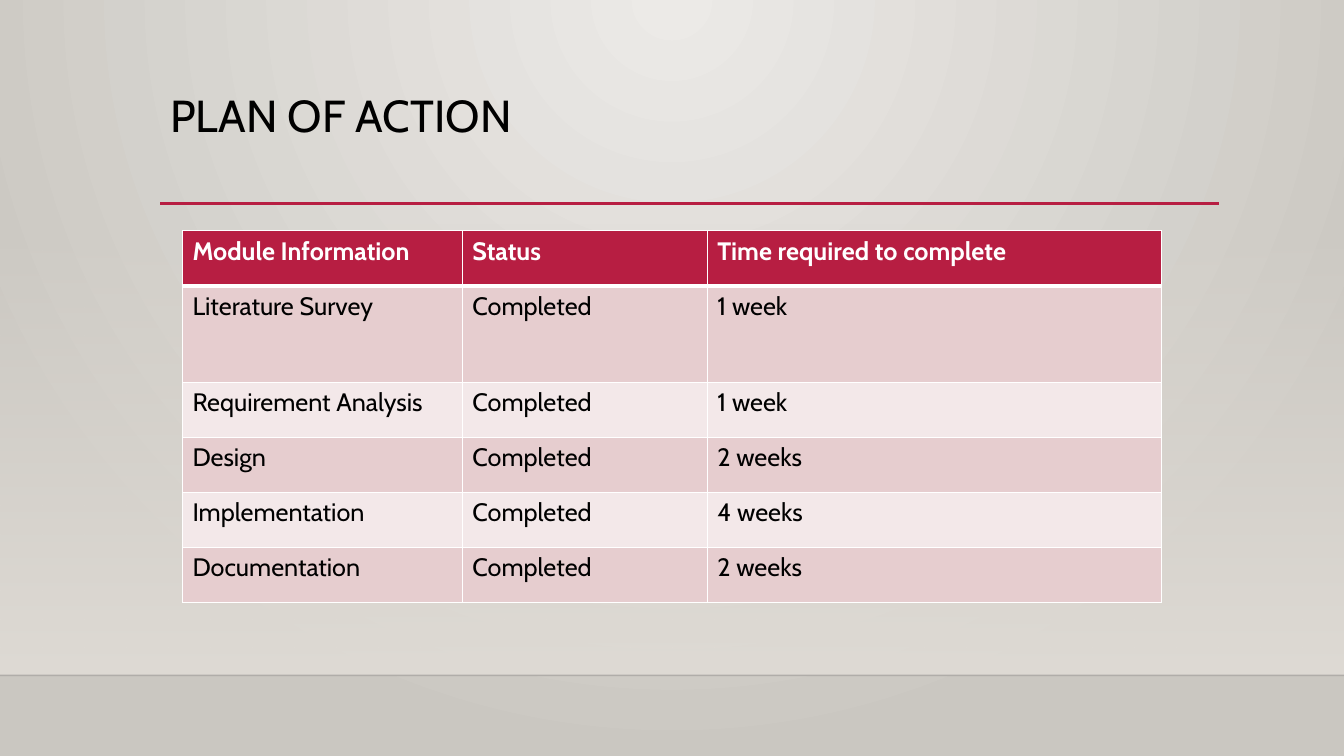
from dataclasses import dataclass

from pptx import Presentation
from pptx.dml.color import RGBColor as RGB
from pptx.enum.shapes import MSO_CONNECTOR as Connector, MSO_SHAPE as Preset
from pptx.enum.text import MSO_ANCHOR as Anchor, MSO_AUTO_SIZE as AutoSize, PP_ALIGN as Align
from pptx.oxml import parse_xml
from pptx.oxml.ns import nsdecls, qn
from pptx.util import Pt

# Content
TITLE = "PLAN OF ACTION"
HEADER = ("Module Information", "Status", "Time required to complete")
MODULES = [
    ("Literature Survey", "Completed", "1 week"),
    ("Requirement Analysis", "Completed", "1 week"),
    ("Design", "Completed", "2 weeks"),
    ("Implementation", "Completed", "4 weeks"),
    ("Documentation", "Completed", "2 weeks"),
]


@dataclass(frozen=True)
class Theme:
    font: str = "Cabin"
    title_size: float = 32
    table_size: float = 18
    accent: str = "B71E42"
    bands: tuple = ("E6CDCF", "F3E8E9")
    text: str = "000000"
    white: str = "FFFFFF"
    glow: str = "ECEAE7"
    edge: str = "CAC7C1"
    wall: str = "DFDBD5"
    floor_line: str = "000001"


THEME = Theme()

# Layout, in points
WIDTH, HEIGHT = 960, 540
WALL_TOP, FLOOR = 159, 482.4
TITLE_BOX = (114.5, 63.4, 756, 82.8)
RULE_Y, RULE_LEFT, RULE_RIGHT = 145.4, 114.5, 871
TABLE_LEFT, TABLE_TOP = 130.3, 164.9
COLUMN_WIDTHS = (200, 175, 324.5)
ROW_HEIGHT, TALL_ROW_HEIGHT = 39.3, 69.1
ROW_HEIGHTS = [ROW_HEIGHT, TALL_ROW_HEIGHT] + [ROW_HEIGHT] * (len(MODULES) - 1)
BORDER, HEADER_BORDER = 1, 3


def write(frame, text, *, size, color, bold=False):
    paragraph = frame.paragraphs[0]
    paragraph.alignment = Align.LEFT
    run = paragraph.add_run()
    run.text = text
    font = run.font
    font.name, font.size, font.bold = THEME.font, Pt(size), bold
    font.color.rgb = RGB.from_string(color)
    return paragraph


def set_gradient(parent, start, end, direction, start_alpha=100):
    """Replace the solid fill in parent with a two-stop gradient."""
    gradient = parse_xml(
        f'<a:gradFill {nsdecls("a")} rotWithShape="1"><a:gsLst>'
        f'<a:gs pos="0"><a:srgbClr val="{start}"><a:alpha val="{start_alpha * 1000}"/></a:srgbClr></a:gs>'
        f'<a:gs pos="100000"><a:srgbClr val="{end}"/></a:gs>'
        f'</a:gsLst>{direction}</a:gradFill>')
    parent.replace(parent.find(qn("a:solidFill")), gradient)


def add_rule(slide, left, right, y, color, width, alpha=100):
    line = slide.shapes.add_connector(Connector.STRAIGHT, Pt(left), Pt(y), Pt(right), Pt(y))
    line.line.color.rgb = RGB.from_string(color)
    line.line.width = Pt(width)
    properties = line.element.spPr
    properties.append(parse_xml(f'<a:effectLst {nsdecls("a")}/>'))
    if alpha < 100:
        properties.find(".//" + qn("a:srgbClr")).append(
            parse_xml(f'<a:alpha {nsdecls("a")} val="{alpha * 1000}"/>'))


def set_borders(cell, top, bottom):
    properties = cell._tc.get_or_add_tcPr()
    for side, width in (("L", BORDER), ("R", BORDER), ("T", top), ("B", bottom)):
        properties.append(parse_xml(
            f'<a:ln{side} {nsdecls("a")} w="{Pt(width)}"><a:solidFill>'
            f'<a:srgbClr val="{THEME.white}"/></a:solidFill></a:ln{side}>'))


def add_background(slide):
    slide.background.fill.solid()
    slide.background.fill.fore_color.rgb = RGB.from_string(THEME.edge)
    set_gradient(slide.element.find(".//" + qn("p:bgPr")), THEME.glow, THEME.edge,
                 '<a:path path="circle"><a:fillToRect l="43000" r="43000" b="100000"/></a:path>')
    wall = slide.shapes.add_shape(Preset.RECTANGLE, 0, Pt(WALL_TOP), Pt(WIDTH), Pt(FLOOR - WALL_TOP))
    wall.shadow.inherit = False
    wall.line.fill.background()
    wall.fill.solid()
    wall.fill.fore_color.rgb = RGB.from_string(THEME.wall)
    set_gradient(wall.element.spPr, THEME.wall, THEME.wall,
                 '<a:lin ang="5400000" scaled="0"/>', start_alpha=0)
    add_rule(slide, 0, WIDTH, FLOOR, THEME.floor_line, 1, alpha=20)


def add_title(slide):
    title = slide.shapes.title
    title.left, title.top, title.width, title.height = map(Pt, TITLE_BOX)
    frame = title.text_frame
    frame.word_wrap = True
    frame.auto_size = AutoSize.NONE
    frame.vertical_anchor = Anchor.TOP
    paragraph = write(frame, TITLE, size=THEME.title_size, color=THEME.text)
    paragraph.line_spacing = 0.9
    paragraph.space_before = Pt(0)
    add_rule(slide, RULE_LEFT, RULE_RIGHT, RULE_Y, THEME.accent, 2.5)


def add_plan_table(slide):
    rows = [HEADER, *MODULES]
    table = slide.shapes.add_table(
        len(rows), len(HEADER), Pt(TABLE_LEFT), Pt(TABLE_TOP),
        Pt(sum(COLUMN_WIDTHS)), Pt(sum(ROW_HEIGHTS))).table
    for column, width in zip(table.columns, COLUMN_WIDTHS):
        column.width = Pt(width)
    for index, (row, height, texts) in enumerate(zip(table.rows, ROW_HEIGHTS, rows)):
        row.height = Pt(height)
        header = index == 0
        fill = THEME.accent if header else THEME.bands[(index - 1) % 2]
        for cell, text in zip(row.cells, texts):
            set_borders(cell, top=HEADER_BORDER if index == 1 else BORDER,
                        bottom=HEADER_BORDER if header else BORDER)
            cell.fill.solid()
            cell.fill.fore_color.rgb = RGB.from_string(fill)
            write(cell.text_frame, text, size=THEME.table_size, bold=header,
                  color=THEME.white if header else THEME.text)


def main():
    presentation = Presentation()
    presentation.slide_width, presentation.slide_height = Pt(WIDTH), Pt(HEIGHT)
    slide = presentation.slides.add_slide(presentation.slide_layouts.get_by_name("Title Only"))
    add_background(slide)
    add_title(slide)
    add_plan_table(slide)
    presentation.save("out.pptx")


if __name__ == "__main__":
    main()
